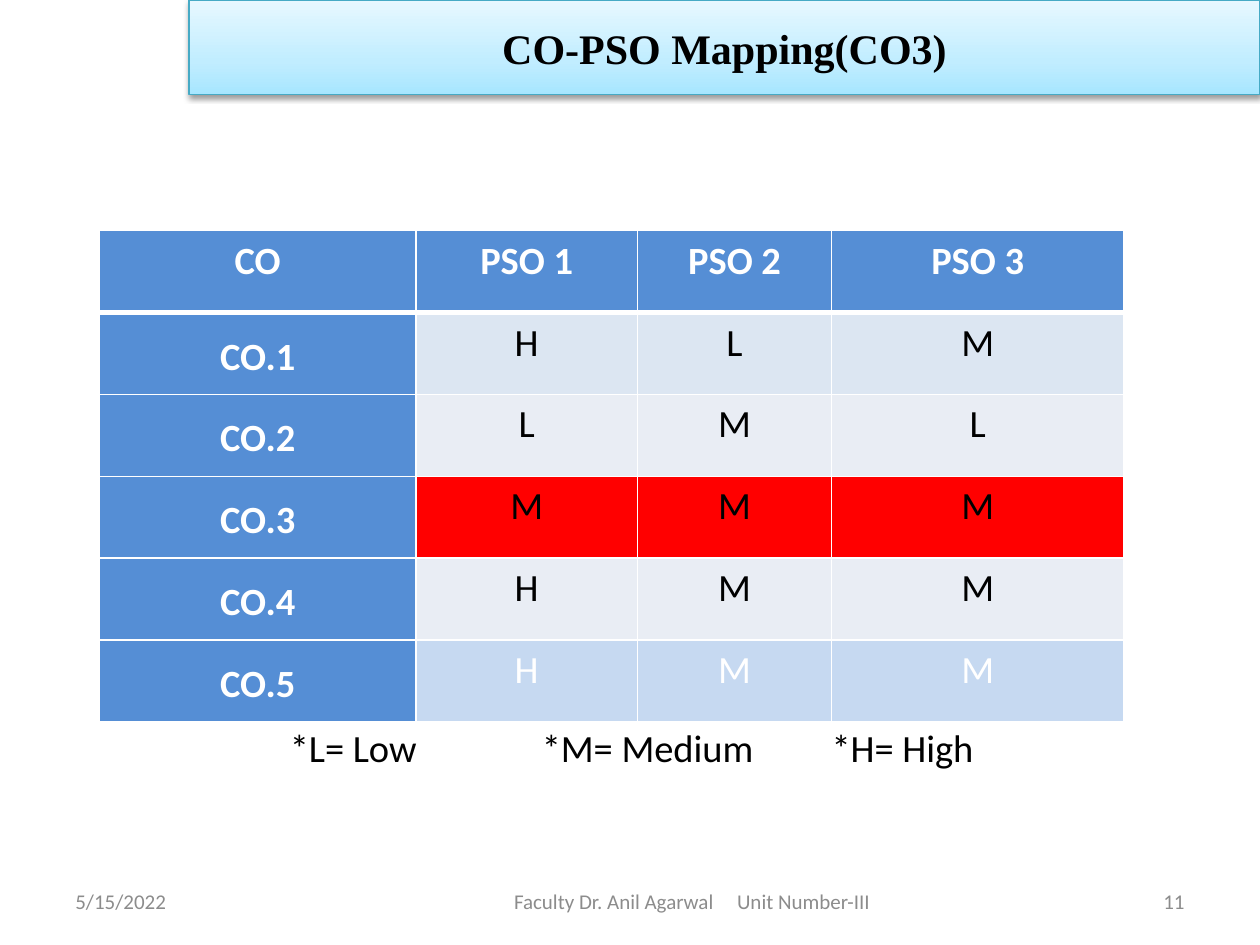
from copy import deepcopy
from lxml import etree
from pptx import Presentation
from pptx.dml.color import RGBColor
from pptx.enum.shapes import MSO_SHAPE as Shape
from pptx.enum.text import MSO_ANCHOR as Anchor, PP_ALIGN as Align
from pptx.oxml import parse_xml
from pptx.oxml.ns import nsdecls, qn
from pptx.util import Inches, Pt

WHITE = RGBColor(0xFF, 0xFF, 0xFF)
BLACK = RGBColor(0, 0, 0)
GREY = RGBColor(0x8C, 0x8C, 0x8C)
BLUE = RGBColor(0x55, 0x8E, 0xD5)
PALE = RGBColor(0xDC, 0xE6, 0xF2)
MIST = RGBColor(0xE9, 0xED, 0xF4)
RED = RGBColor(0xFF, 0, 0)
SKY = RGBColor(0xC6, 0xD9, 0xF1)
TEAL = RGBColor(0x46, 0xAA, 0xC5)
GLOW = [(0, RGBColor(0xA7, 0xE6, 0xFF)),
        (0.35, RGBColor(0xC1, 0xED, 0xFF)),
        (1, RGBColor(0xE7, 0xF8, 0xFF))]


def write(para, text, size, color, align, bold=False, face="Calibri"):
    para.alignment = align
    run = para.add_run()
    run.text = text
    font = run.font
    font.name, font.size, font.bold = face, Pt(size), bold
    font.color.rgb = color


def label(left, top, width, text, size, color, align, inset=0.1, tabs=()):
    """Add a one-line text box; tabs are measured from its left inset."""
    box = slide.shapes.add_textbox(Inches(left), Inches(top),
                                   Inches(width), Inches(0.4))
    frame = box.text_frame
    frame.word_wrap = True
    frame.vertical_anchor = Anchor.MIDDLE
    frame.margin_left = Inches(inset)
    para = frame.paragraphs[0]
    write(para, text, size, color, align)
    if tabs:
        stops = etree.SubElement(para._p.get_or_add_pPr(), qn("a:tabLst"))
        for pos in tabs:
            etree.SubElement(stops, qn("a:tab"), pos=str(Inches(pos)), algn="l")


prs = Presentation()
prs.slide_width, prs.slide_height = Inches(10), Inches(7.5)
slide = prs.slides.add_slide(prs.slide_layouts[6])

# Footer
label(0.5, 6.95, 2.33, "5/15/2022", 12, GREY, Align.LEFT)
label(2.75, 6.95, 5.5, "Faculty Dr. Anil Agarwal\tUnit Number-III", 12, GREY,
      Align.LEFT, inset=1.33, tabs=[1.77])
label(7.17, 6.95, 2.33, "11", 12, GREY, Align.RIGHT)

# Title band
band = slide.shapes.add_shape(Shape.RECTANGLE, Inches(1.5), 0,
                              Inches(8.5), Inches(0.75))
band.line.color.rgb = TEAL
band.line.width = Pt(0.75)
band.fill.gradient()
band.fill.gradient_angle = 90
stops = band._element.spPr.find(qn("a:gradFill")).find(qn("a:gsLst"))
stops.append(deepcopy(stops[-1]))
for stop, (pos, color) in zip(band.fill.gradient_stops, GLOW):
    stop.position = pos
    stop.color.rgb = color
band.shadow.inherit = False
band._element.spPr.find(qn("a:effectLst")).append(parse_xml(
    f'<a:outerShdw {nsdecls("a")} blurRad="40000" dist="20000" dir="5400000" '
    'rotWithShape="0"><a:srgbClr val="000000"><a:alpha val="38000"/>'
    '</a:srgbClr></a:outerShdw>'))
band.text_frame.vertical_anchor = Anchor.MIDDLE
write(band.text_frame.paragraphs[0], "CO-PSO Mapping(CO3)", 24, BLACK,
      Align.CENTER, True, "Times New Roman")

# Legend
label(0.5, 5.73, 9, "*L= Low\t*M= Medium\t*H= High", 22, BLACK,
      Align.LEFT, inset=1.8, tabs=[2, 4.3])

# Mapping table: row text, body fill, body text colour
rows = [(["CO", "PSO 1", "PSO 2", "PSO 3"], BLUE, WHITE),
        (["CO.1", "H", "L", "M"], PALE, BLACK),
        (["CO.2", "L", "M", "L"], MIST, BLACK),
        (["CO.3", "M", "M", "M"], RED, BLACK),
        (["CO.4", "H", "M", "M"], MIST, BLACK),
        (["CO.5", "H", "M", "M"], SKY, WHITE)]
widths = [2.51, 1.76, 1.54, 2.32]
table = slide.shapes.add_table(len(rows), len(widths), Inches(0.79), Inches(1.83),
                               Inches(sum(widths)), Inches(3.9)).table
for col, width in zip(table.columns, widths):
    col.width = Inches(width)
for r, (texts, fill, ink) in enumerate(rows):
    table.rows[r].height = Inches(0.65)
    for c, text in enumerate(texts):
        cell = table.cell(r, c)
        head = r == 0 or c == 0
        cell.margin_left = cell.margin_right = Inches(0.07)
        cell.margin_top = cell.margin_bottom = 0
        cell.vertical_anchor = Anchor.MIDDLE if r and c == 0 else Anchor.TOP
        para = cell.text_frame.paragraphs[0]
        para.line_spacing = 1.15
        write(para, text, 22, WHITE if head else ink, Align.CENTER, head)
        props = cell._tc.get_or_add_tcPr()
        for side in "LRTB":
            thick = (r, side) in [(0, "B"), (1, "T")]
            props.append(parse_xml(
                f'<a:ln{side} {nsdecls("a")} w="{Pt(3 if thick else 1)}">'
                f'<a:solidFill><a:srgbClr val="{WHITE}"/></a:solidFill></a:ln{side}>'))
        cell.fill.solid()
        cell.fill.fore_color.rgb = BLUE if head else fill

prs.save("out.pptx")
